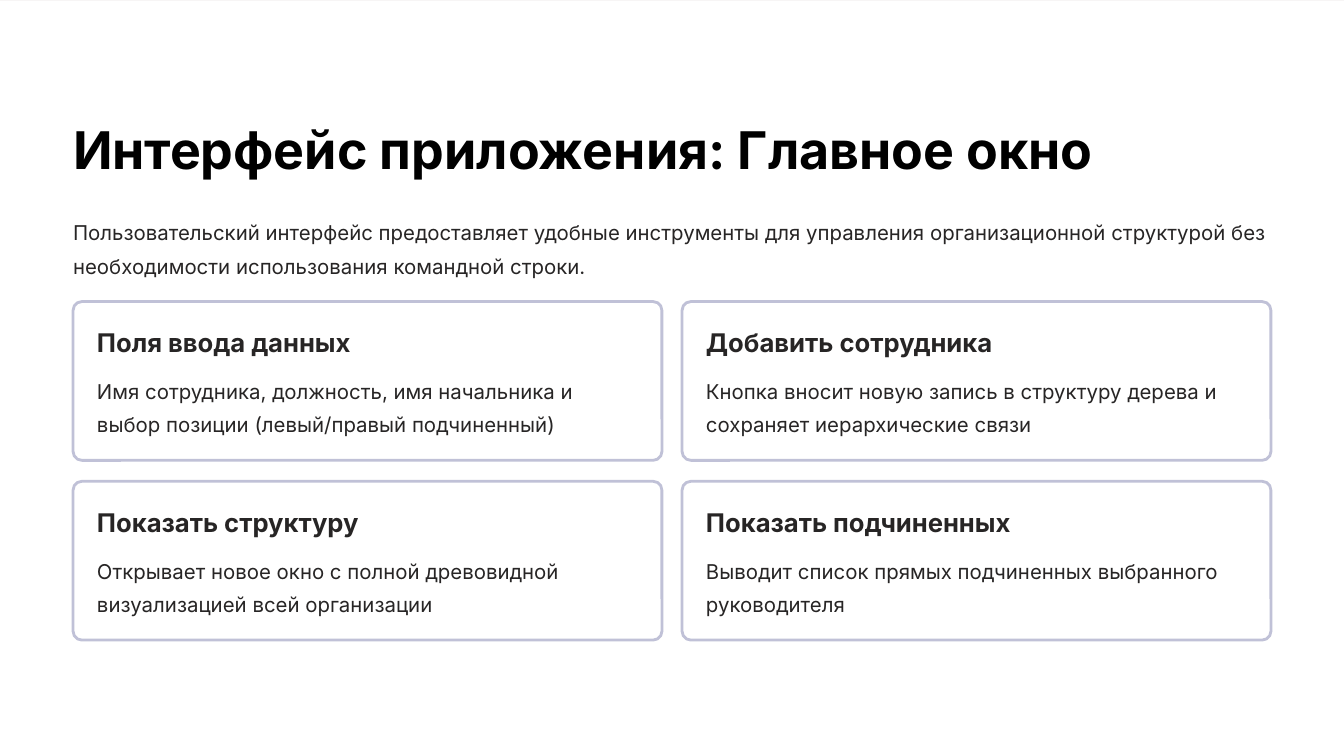
from dataclasses import dataclass

from pptx import Presentation
from pptx.dml.color import RGBColor
from pptx.enum.shapes import MSO_SHAPE
from pptx.enum.text import MSO_ANCHOR, PP_ALIGN
from pptx.util import Inches, Pt

RECT = MSO_SHAPE.RECTANGLE
ROUND = MSO_SHAPE.ROUNDED_RECTANGLE
TOP = MSO_ANCHOR.TOP
LEFT = PP_ALIGN.LEFT

WIDTH, HEIGHT = 16, 9
MARGIN = 0.87
GAP = 0.24
COLS = 2
FULL = WIDTH - 2 * MARGIN
CARD_W = (FULL - GAP * (COLS - 1)) / COLS
CARD_H = 1.89
CARDS_TOP = 3.59
PAD = 0.285

TITLE = "Интерфейс приложения: Главное окно"
INTRO = (
    "Пользовательский интерфейс предоставляет удобные инструменты для управления "
    "организационной структурой без необходимости использования командной строки."
)
CARDS = [
    ("Поля ввода данных",
     "Имя сотрудника, должность, имя начальника и выбор позиции (левый/правый подчиненный)"),
    ("Добавить сотрудника",
     "Кнопка вносит новую запись в структуру дерева и сохраняет иерархические связи"),
    ("Показать структуру",
     "Открывает новое окно с полной древовидной визуализацией всей организации"),
    ("Показать подчиненных",
     "Выводит список прямых подчиненных выбранного руководителя"),
]


@dataclass(frozen=True)
class Theme:
    font: str = "Inter"
    edge: str = "F6F4F4"
    paper: str = "FFFFFF"
    border: str = "C0C1D7"
    black: str = "000000"
    ink: str = "272525"
    title: float = 44.5
    head: float = 22
    body: float = 17.5
    stroke: float = 2.4


def write(frame, text, *, font, size, color, lead, bold=False, wrap=True):
    frame.margin_left = frame.margin_right = 0
    frame.margin_top = frame.margin_bottom = 0
    frame.word_wrap = wrap
    frame.vertical_anchor = TOP
    para = frame.paragraphs[0]
    para.alignment = LEFT
    para.line_spacing = Pt(lead)
    run = para.add_run()
    run.text = text
    run.font.name = font
    run.font.size = Pt(size)
    run.font.bold = bold
    run.font.color.rgb = RGBColor.from_string(color)


class Deck:
    def __init__(self, theme):
        self.theme = theme
        self.show = Presentation()
        self.show.slide_width = Inches(WIDTH)
        self.show.slide_height = Inches(HEIGHT)
        self.slide = self.show.slides.add_slide(self.show.slide_layouts[6])

    def page(self):
        fill = self.slide.background.fill
        fill.solid()
        fill.fore_color.rgb = RGBColor.from_string(self.theme.edge)
        self.box(RECT, 0, 0.01, WIDTH, HEIGHT - 0.01)

    def box(self, kind, x, y, w, h, line=None):
        shape = self.slide.shapes.add_shape(kind, Inches(x), Inches(y), Inches(w), Inches(h))
        shape.shadow.inherit = False
        shape.fill.solid()
        shape.fill.fore_color.rgb = RGBColor.from_string(self.theme.paper)
        if line:
            shape.line.color.rgb = RGBColor.from_string(line)
            shape.line.width = Pt(self.theme.stroke)
        else:
            shape.line.fill.background()
        return shape

    def text(self, text, x, y, w, h, **style):
        box = self.slide.shapes.add_textbox(Inches(x), Inches(y), Inches(w), Inches(h))
        write(box.text_frame, text, font=self.theme.font, **style)

    def title(self, text, y):
        self.text(text, MARGIN, y, FULL, 0.78, size=self.theme.title,
                  color=self.theme.black, lead=55.5, bold=True, wrap=False)

    def body(self, text, x, y, w):
        self.text(text, x, y, w, 0.79, size=self.theme.body,
                  color=self.theme.ink, lead=28.5)

    def card(self, col, row, head, body):
        x = MARGIN + col * (CARD_W + GAP)
        y = CARDS_TOP + row * (CARD_H + GAP + 0.01)
        wide = CARD_W - 2 * PAD
        frame = self.box(ROUND, x, y, CARD_W, CARD_H, line=self.theme.border)
        frame.adjustments[0] = 0.055
        self.text(head, x + PAD, y + PAD, wide, 0.39, size=self.theme.head,
                  color=self.theme.ink, lead=27.5, bold=True, wrap=False)
        self.body(body, x + PAD, y + 0.82, wide)


def main():
    deck = Deck(Theme())
    deck.page()
    deck.title(TITLE, 1.37)
    deck.body(INTRO, MARGIN, 2.52, FULL)
    for i, (head, body) in enumerate(CARDS):
        row, col = divmod(i, COLS)
        deck.card(col, row, head, body)
    deck.show.save("out.pptx")


if __name__ == "__main__":
    main()
